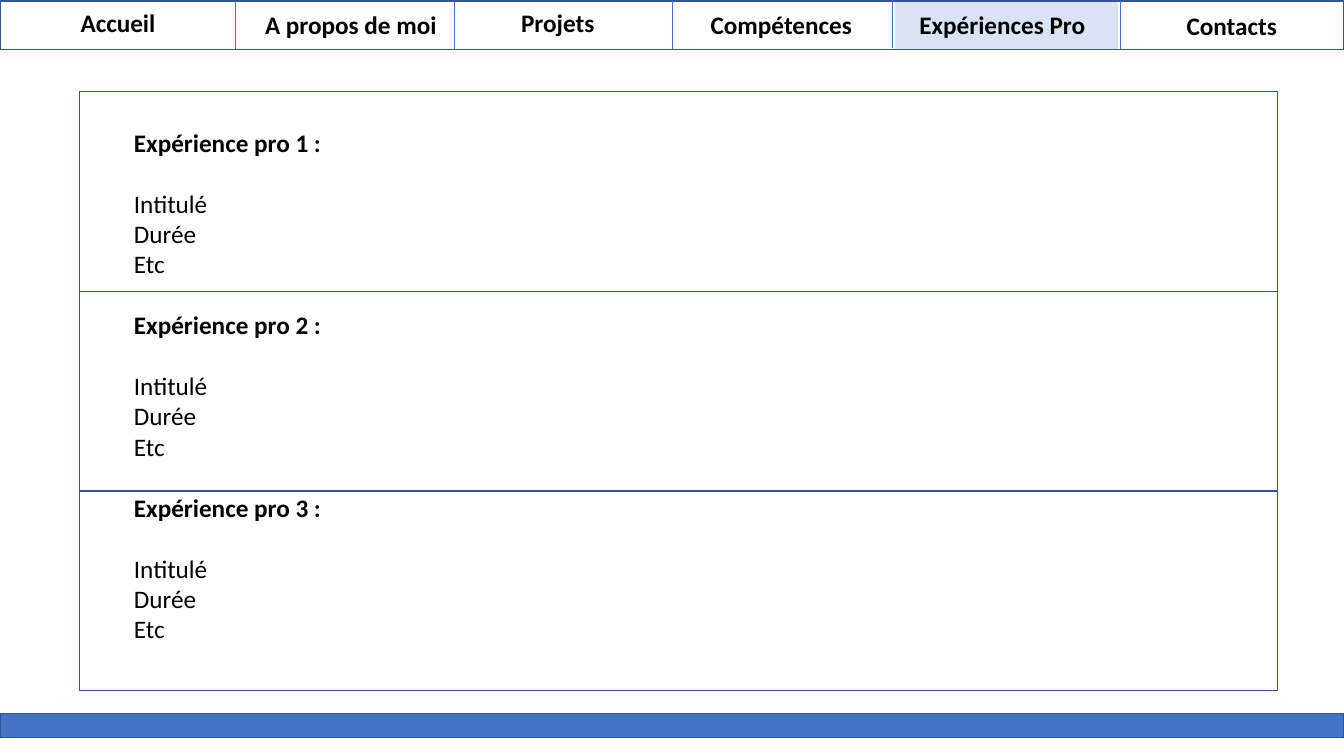
import pptx
import pptx.util
import pptx.dml.color
import pptx.enum.shapes
import pptx.enum.text
import pptx.oxml.ns
import lxml.etree

Inches = pptx.util.Inches
Pt = pptx.util.Pt
RGBColor = pptx.dml.color.RGBColor

BLACK = RGBColor(0x00, 0x00, 0x00)
BLUE = RGBColor(0x44, 0x72, 0xC4)
NAVY = RGBColor(0x32, 0x54, 0x91)
PALE = RGBColor(0xDA, 0xE3, 0xF3)

FONT = "Calibri"
WIDE = 13.33
LINE = 22  # height of one text line, in points

# Menu label, left, top, width
MENU = [
    ("Accueil", 0.7, 0.02, 0.95),
    ("A propos de moi", 2.53, 0.04, 1.92),
    ("Projets", 5.07, 0.02, 0.94),
    ("Compétences", 6.95, 0.04, 1.6),
    ("Expériences Pro", 9.02, 0.04, 1.86),
    ("Contacts", 11.67, 0.05, 1.11),
]
# Menu divider: x, top
RULES = [(2.33, 0.01), (4.51, 0.02), (6.67, 0.01), (8.85, 0), (11.11, 0.01)]
FIELDS = ["Intitulé", "Durée", "Etc"]
COUNT = 3


def add_box(slide, left, top, width, height, line=NAVY, fill=None):
    box = slide.shapes.add_shape(
        pptx.enum.shapes.MSO_SHAPE.RECTANGLE,
        Inches(left), Inches(top), Inches(width), Inches(height))
    box.shadow.inherit = False
    if fill is None:
        box.fill.background()
    else:
        box.fill.solid()
        box.fill.fore_color.rgb = fill
    box.line.color.rgb = line
    box.line.width = Pt(1)


def add_rule(slide, x, top, height):
    rule = slide.shapes.add_connector(
        pptx.enum.shapes.MSO_CONNECTOR.STRAIGHT,
        Inches(x), Inches(top), Inches(x), Inches(top + height))
    rule.line.color.rgb = BLUE
    rule.line.width = Pt(0.5)
    props = rule._element.spPr
    lxml.etree.SubElement(props, pptx.oxml.ns.qn("a:effectLst"))


def add_frame(slide, left, top, width, height, wrap=True):
    area = slide.shapes.add_textbox(
        Inches(left), Inches(top), Inches(width), Inches(height))
    frame = area.text_frame
    frame.word_wrap = wrap
    frame.auto_size = pptx.enum.text.MSO_AUTO_SIZE.SHAPE_TO_FIT_TEXT
    return frame


def put_text(para, text, size=18, bold=False, color=BLACK, before=0):
    para.space_before = Pt(before)
    run = para.add_run()
    run.text = text
    run.font.name = FONT
    run.font.size = Pt(size)
    run.font.bold = bold
    run.font.color.rgb = color


def add_menu(slide):
    add_box(slide, 8.88, 0, 2.2, 0.49, line=PALE, fill=PALE)
    add_box(slide, 0, 0.01, WIDE, 0.48)
    for x, top in RULES:
        add_rule(slide, x, top, 0.48)
    for label, left, top, width in MENU:
        frame = add_frame(slide, left, top, width, 0.4, wrap=False)
        put_text(frame.paragraphs[0], label, bold=True)


def add_jobs(slide):
    for index in range(COUNT):
        add_box(slide, 0.79, 0.91 + 1.98 * index, 11.88, 1.98)
    frame = add_frame(slide, 1.23, 1.21, 10.35, 5.55)
    for index in range(COUNT):
        # Heading, one line below the previous job
        para = frame.add_paragraph() if index else frame.paragraphs[0]
        put_text(para, f"Expérience pro {index + 1} :", bold=True,
                 before=LINE if index else 0)
        # Details, the first one line below the heading
        for order, field in enumerate(FIELDS):
            put_text(frame.add_paragraph(), field,
                     before=0 if order else LINE)


def main():
    deck = pptx.Presentation()
    deck.slide_width = Inches(WIDE)
    deck.slide_height = Inches(7.5)
    slide = deck.slides.add_slide(deck.slide_layouts[6])
    add_menu(slide)
    add_jobs(slide)
    # Footer band
    add_box(slide, 0, 7.08, WIDE, 0.24, fill=BLUE)
    deck.save("out.pptx")


if __name__ == "__main__":
    main()
